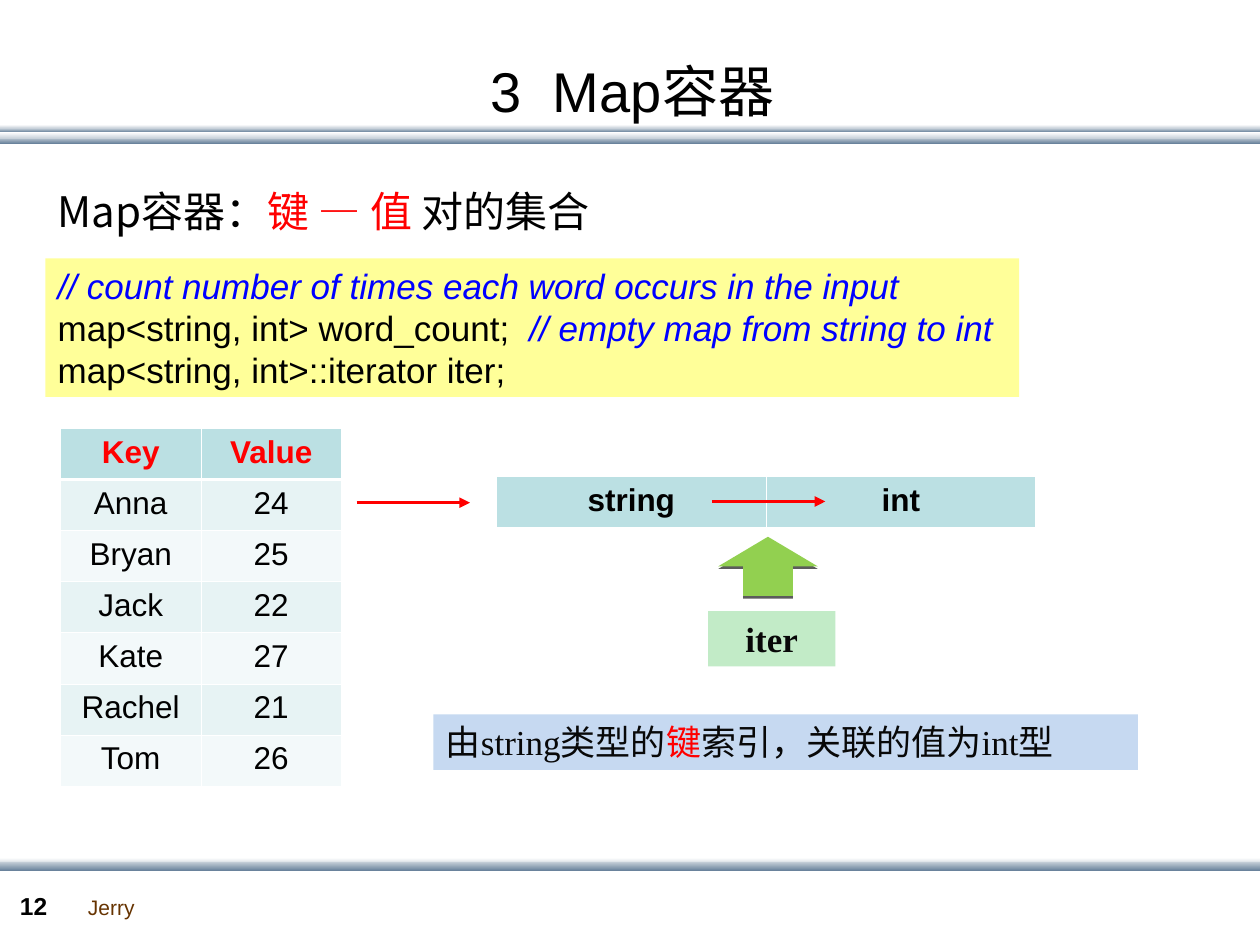
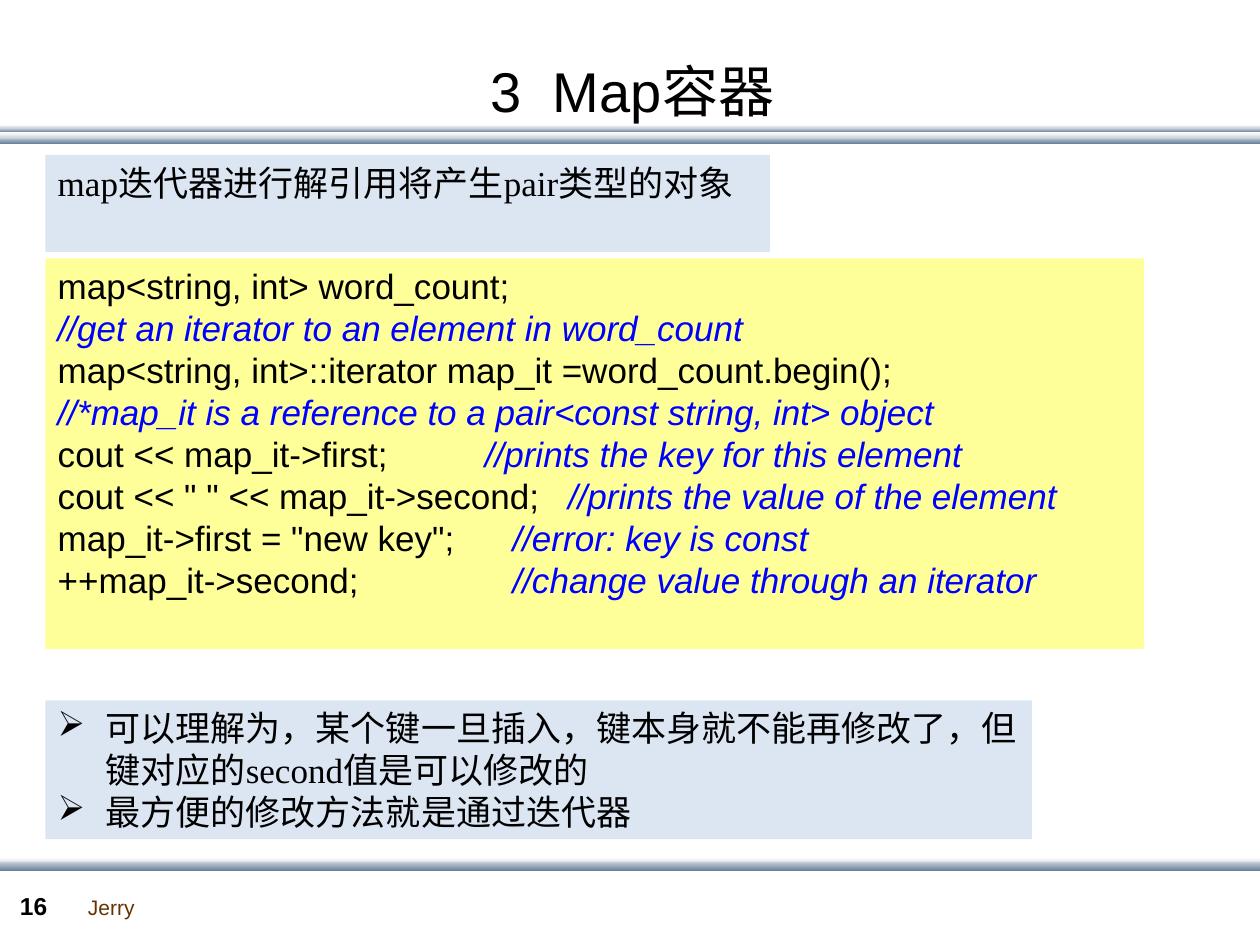
import dataclasses

import lxml.etree
import pptx
import pptx.dml.color
import pptx.enum.shapes
import pptx.enum.text
import pptx.oxml.ns
import pptx.util

PX = 9144
ALIGN = pptx.enum.text.PP_ALIGN
ANCHOR = pptx.enum.text.MSO_ANCHOR
SHAPE = pptx.enum.shapes.MSO_SHAPE


@dataclasses.dataclass(frozen=True)
class Ink:
    size: float
    font: str
    color: str
    bold: bool = False
    italic: bool = False

    def but(self, **changes):
        return dataclasses.replace(self, **changes)


class Theme:
    cjk = "Noto Sans CJK SC"
    white = "FFFFFF"
    red = "FF0000"
    band_light = "C8D1DA"
    band_dark = "6A839C"
    code_fill = "FFFF99"
    note_fill = "DCE6F2"
    index_fill = "C6D9F1"
    iterator_fill = "C2EBC7"
    arrow_fill = "92D050"
    header_fill = "BBE0E3"
    row_fills = ("E7F3F4", "F3F9FA")
    thin_border = 0.45
    thick_border = 1.5
    title = Ink(32, "Arial", "000000")
    heading = Ink(24, cjk, "000000")
    code = Ink(20, "Arial", "000000")
    comment = code.but(color="0000FF", italic=True)
    note = Ink(20, "Times New Roman", "000000")
    label = note.but(color="080808")
    cell = Ink(18, "Arial", "000000")
    page_number = Ink(14, "Arial", "000000", bold=True)
    author = Ink(12, "Arial", "663300")


def rgb(value):
    return pptx.dml.color.RGBColor.from_string(value)


def add_xml(parent, tag, **attributes):
    return lxml.etree.SubElement(
        parent,
        pptx.oxml.ns.qn(tag),
        {name: str(value) for name, value in attributes.items()},
    )


def add_color(parent, color):
    return add_xml(parent, "a:srgbClr", val=color)


class Deck:
    def __init__(self, theme):
        self.theme = theme
        self.presentation = pptx.Presentation()
        self.presentation.slide_width = 1000 * PX
        self.presentation.slide_height = 750 * PX
        self.slide = None

    def new_slide(self, title, number):
        theme = self.theme
        self.slide = self.presentation.slides.add_slide(
            self.presentation.slide_layouts[6]
        )
        lower = (theme.band_light, theme.band_dark)
        upper = (theme.white, theme.band_light)
        for top, height, colors in (
            (109, 5, lower),
            (102, 3, lower),
            (105, 5, upper),
            (99, 3, upper),
            (681, 5, upper),
            (684, 7, lower),
        ):
            self.band(top, height, colors)
        self.text((60, 705, 57, 30), [[("Jerry", theme.author)]], wrap=False)
        self.text((6, 702, 55, 34), [[(str(number), theme.page_number)]])
        self.text(
            (22, 44, 960, 55),
            [[(title, theme.title)]],
            align=ALIGN.CENTER,
            anchor=ANCHOR.MIDDLE,
        )

    def shape(self, kind, box, fill=None):
        shape = self.slide.shapes.add_shape(kind, *(value * PX for value in box))
        shape.shadow.inherit = False
        shape.line.fill.background()
        if fill:
            shape.fill.solid()
            shape.fill.fore_color.rgb = rgb(fill)
        return shape

    def band(self, top, height, colors):
        shape = self.shape(SHAPE.RECTANGLE, (0, top, 1000, height))
        shape.fill.gradient()
        shape.fill.gradient_angle = 270
        for stop, color in zip(shape.fill.gradient_stops, colors):
            stop.color.rgb = rgb(color)

    def runs(self, paragraph, runs, align=ALIGN.LEFT):
        paragraph.alignment = align
        for text, ink in runs:
            run = paragraph.add_run()
            run.text = text
            run.font.size = pptx.util.Pt(ink.size)
            run.font.name = ink.font
            run.font.bold = ink.bold
            run.font.italic = ink.italic
            run.font.color.rgb = rgb(ink.color)
            add_xml(run.font._element, "a:ea", typeface=self.theme.cjk)

    def text(self, box, paragraphs, fill=None, align=ALIGN.LEFT,
             anchor=ANCHOR.TOP, wrap=True, spacing=None, bullet=None, tabs=()):
        if fill:
            shape = self.shape(SHAPE.RECTANGLE, box, fill)
        else:
            shape = self.slide.shapes.add_textbox(*(value * PX for value in box))
        frame = shape.text_frame
        frame.word_wrap = wrap
        frame.vertical_anchor = anchor
        for index, runs in enumerate(paragraphs):
            paragraph = frame.add_paragraph() if index else frame.paragraphs[0]
            if spacing:
                paragraph.line_spacing = spacing
            if bullet:
                self.bullet(paragraph, bullet)
            if index < len(tabs) and tabs[index]:
                stops = add_xml(paragraph._p.get_or_add_pPr(), "a:tabLst")
                add_xml(stops, "a:tab", pos=tabs[index] * PX, algn="l")
            self.runs(paragraph, runs, align)

    def bullet(self, paragraph, character):
        properties = paragraph._p.get_or_add_pPr()
        properties.set("marL", str(38 * PX))
        properties.set("indent", str(-38 * PX))
        add_color(add_xml(properties, "a:buClr"), self.theme.note.color)
        add_xml(properties, "a:buChar", char=character)

    def code(self, box, lines):
        paragraphs = []
        tabs = []
        for statement, comment, tab in lines:
            gap = "\t" if tab else ""
            parts = ((statement + gap, self.theme.code), (comment, self.theme.comment))
            paragraphs.append([part for part in parts if part[0]])
            tabs.append(tab)
        self.text(box, paragraphs, self.theme.code_fill, tabs=tabs)

    def table(self, box, rows, header_ink):
        theme = self.theme
        frame = self.slide.shapes.add_table(
            len(rows), len(rows[0]), *(value * PX for value in box)
        )
        table = frame.table
        table.first_row = False
        table.horz_banding = False
        for row_index, row in enumerate(rows):
            header = row_index == 0
            fill = theme.header_fill if header else theme.row_fills[(row_index - 1) % 2]
            top = theme.thick_border if row_index == 1 else theme.thin_border
            bottom = theme.thick_border if header else theme.thin_border
            for column_index, text in enumerate(row):
                cell = table.cell(row_index, column_index)
                self.borders(cell, top, bottom)
                cell.fill.solid()
                cell.fill.fore_color.rgb = rgb(fill)
                ink = header_ink if header else theme.cell
                self.runs(cell.text_frame.paragraphs[0], [(text, ink)], ALIGN.CENTER)

    def borders(self, cell, top, bottom):
        thin = self.theme.thin_border
        properties = cell._tc.get_or_add_tcPr()
        for side, width in (("L", thin), ("R", thin), ("T", top), ("B", bottom)):
            line = add_xml(properties, "a:ln" + side, w=int(pptx.util.Pt(width)))
            add_color(add_xml(line, "a:solidFill"), self.theme.white)

    def arrow(self, left, top, length):
        connector = self.slide.shapes.add_connector(
            pptx.enum.shapes.MSO_CONNECTOR.STRAIGHT,
            left * PX, top * PX, (left + length) * PX, top * PX,
        )
        connector.line.color.rgb = rgb(self.theme.red)
        connector.line.width = pptx.util.Pt(2)
        add_xml(connector.line._get_or_add_ln(), "a:tailEnd", type="triangle")
        add_xml(connector._element.spPr, "a:effectLst")

    def block_arrow_up(self, box):
        shape = self.shape(SHAPE.RIGHT_ARROW, box, self.theme.arrow_fill)
        shape.rotation = 270
        effects = shape._element.spPr.find(pptx.oxml.ns.qn("a:effectLst"))
        shadow = add_xml(
            effects, "a:outerShdw", blurRad=0, dist=int(pptx.util.Pt(1.5)),
            dir=5400000, rotWithShape=0,
        )
        add_xml(add_color(shadow, "000000"), "a:alpha", val=63000)


def build_key_value_slide(deck):
    theme = deck.theme
    deck.new_slide("3  Map容器", 12)
    deck.text(
        (36, 122, 846, 70),
        [[
            ("Map容器：", theme.heading),
            ("键 — 值 ", theme.heading.but(color=theme.red)),
            ("对的集合", theme.heading),
        ]],
        spacing=1.5,
    )
    deck.table((394, 378, 428, 41), [("string", "int")], theme.cell.but(bold=True))
    deck.block_arrow_up((586, 410, 47, 79))
    deck.text(
        (562, 485, 101, 44),
        [[("iter", theme.label.but(bold=True))]],
        theme.iterator_fill,
        align=ALIGN.CENTER,
    )
    ages = [
        ("Key", "Value"),
        ("Anna", "24"),
        ("Bryan", "25"),
        ("Jack", "22"),
        ("Kate", "27"),
        ("Rachel", "21"),
        ("Tom", "26"),
    ]
    deck.table((48, 340, 223, 284), ages, theme.cell.but(bold=True, color=theme.red))
    deck.arrow(283, 399, 90)
    deck.code((36, 205, 773, 110), [
        ("", "// count number of times each word occurs in the input", 0),
        ("map<string, int> word_count;  ", "// empty map from string to int", 0),
        ("map<string, int>::iterator iter;", "", 0),
    ])
    deck.text(
        (344, 567, 559, 44),
        [[
            ("由string类型的", theme.label),
            ("键", theme.label.but(color=theme.red)),
            ("索引，关联的值为int型", theme.label),
        ]],
        theme.index_fill,
    )
    deck.arrow(565, 398, 90)


def build_iterator_slide(deck):
    theme = deck.theme
    deck.new_slide("3  Map容器", 16)
    deck.text(
        (36, 123, 575, 77),
        [[("map迭代器进行解引用将产生pair类型的对象", theme.note)]],
        theme.note_fill,
    )
    deck.code((36, 205, 872, 310), [
        ("map<string, int> word_count;", "", 0),
        ("", "//get an iterator to an element in word_count", 0),
        ("map<string, int>::iterator map_it =word_count.begin();", "", 0),
        ("", "//*map_it is a reference to a pair<const string, int> object", 0),
        ("cout << map_it->first;", "//prints the key for this element", 339),
        ('cout << " " << map_it->second;', "//prints the value of the element", 405),
        ('map_it->first = "new key";', "//error: key is const", 361),
        ("++map_it->second;", "//change value through an iterator", 361),
    ])
    remarks = (
        "可以理解为，某个键一旦插入，键本身就不能再修改了，但键对应的second值是可以修改的",
        "最方便的修改方法就是通过迭代器",
    )
    deck.text(
        (36, 556, 783, 110),
        [[(remark, theme.note)] for remark in remarks],
        theme.note_fill,
        bullet="➢",
    )


def main():
    deck = Deck(Theme())
    build_key_value_slide(deck)
    build_iterator_slide(deck)
    deck.presentation.save("out.pptx")


if __name__ == "__main__":
    main()
